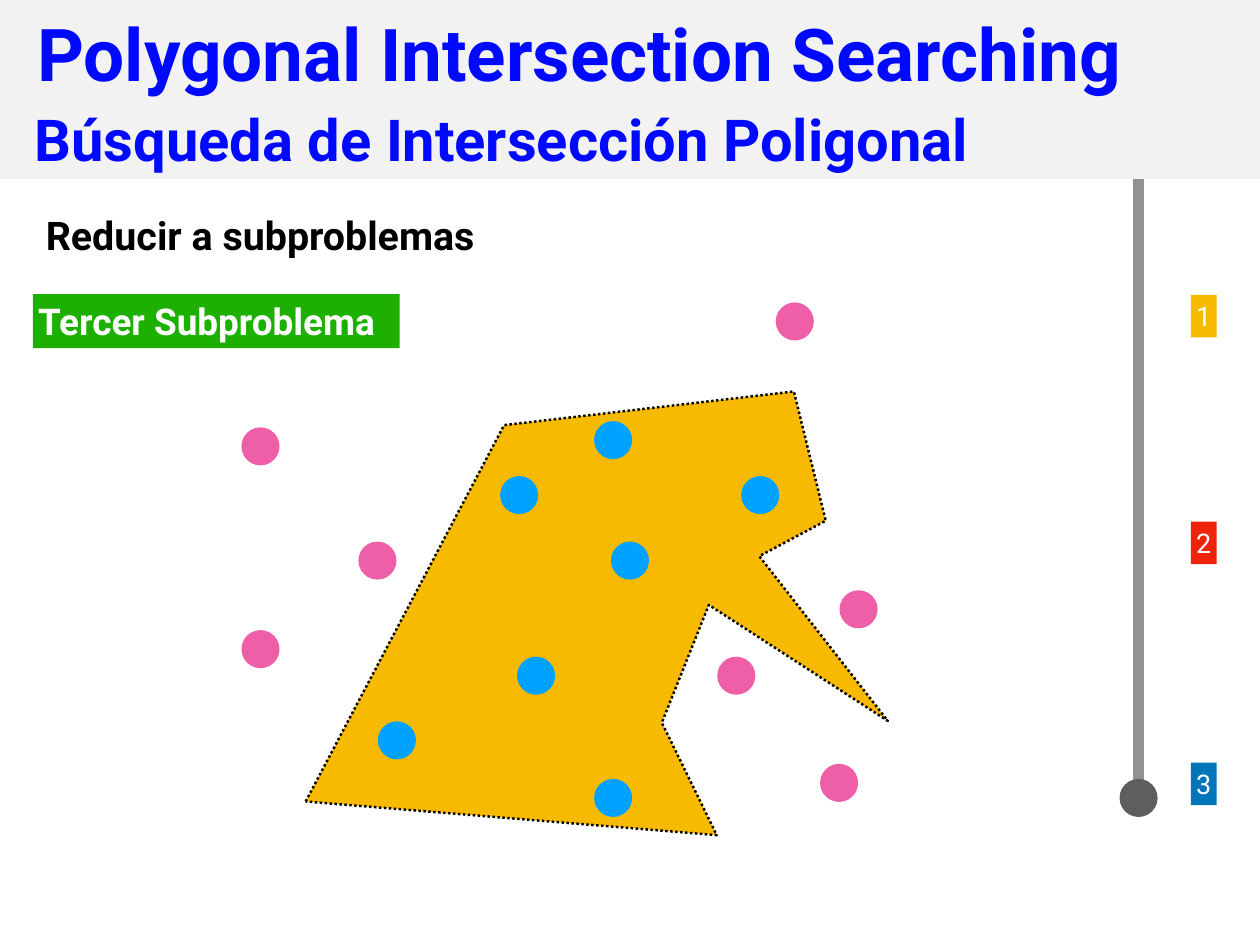
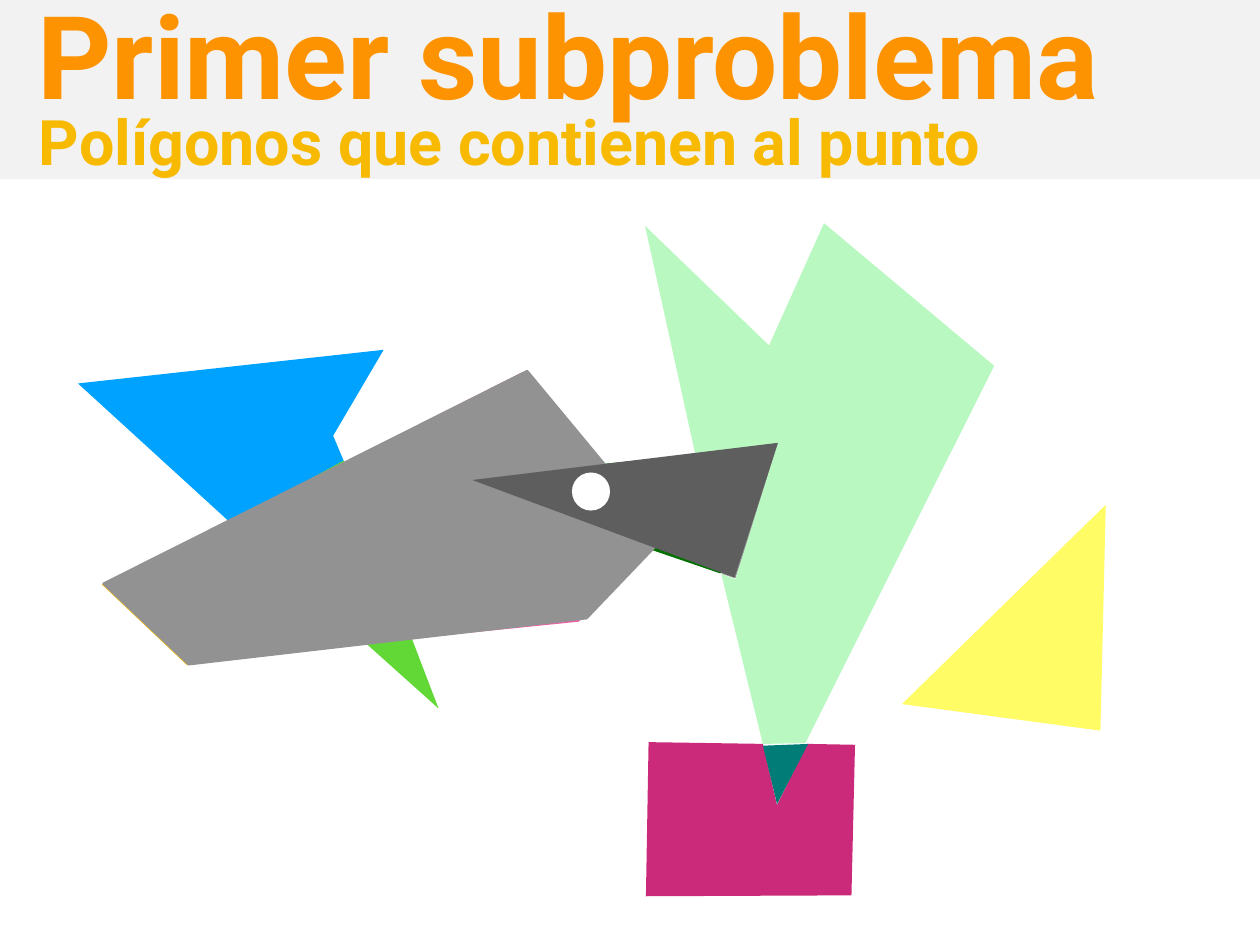
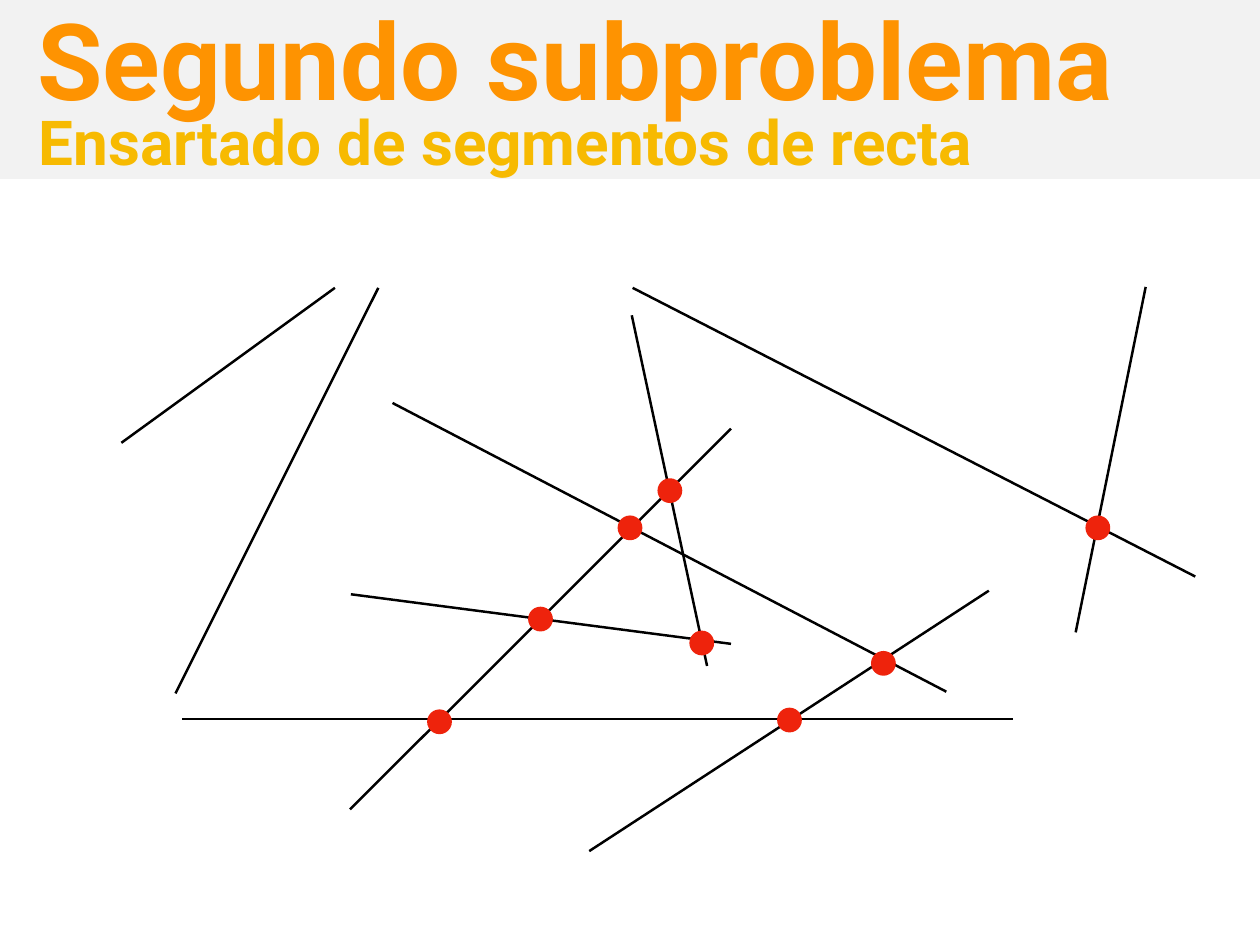
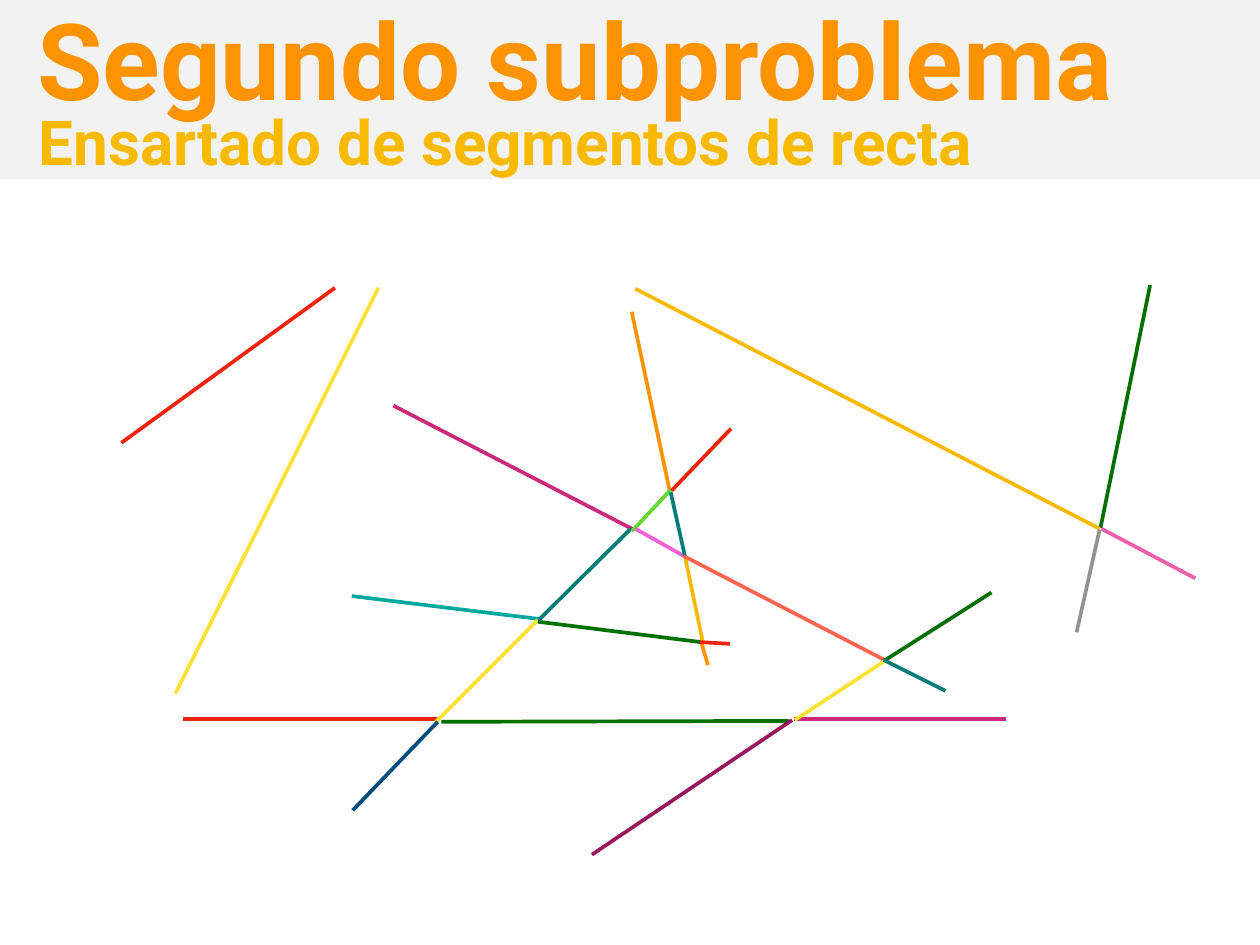
import collections

import pptx
import pptx.dml.color
import pptx.enum.dml
import pptx.enum.shapes
import pptx.enum.text
import pptx.oxml
import pptx.util

FONT = "Roboto"
CM_PER_UNIT = 2.54
INSET = 0.06
WHITE, BLACK, BAND = "FFFFFF", "000000", "F2F2F2"
BLUE_TITLE, ORANGE, AMBER = "0009FF", "FE9301", "F7BA01"
RED, GREEN, TEAL, YELLOW = "EE230C", "027001", "017C76", "FAE232"
PINK, MAGENTA, SKY, LIME = "EF5FA7", "CB2A7A", "00A2FF", "61D836"
GRAY, DARK_GRAY = "929292", "5E5E5E"

Box = collections.namedtuple("Box", "left top width height")
Heading = collections.namedtuple("Heading", "text size color left top")

PAGE = Box(0, 0, 14.22, 10.67)
HEADER = Box(0, 0, PAGE.width, 2.02)
BODY = Box(0, 2, PAGE.width, 8.67)

QUERY_POLYGON = [
    (3.45, 7.05), (5.69, 2.8), (8.96, 2.42), (9.32, 3.88), (8.57, 4.28),
    (10.02, 6.14), (8, 4.83), (7.47, 6.16), (8.09, 7.43),
]
INSIDE_DOTS = [
    (5.86, 3.59), (6.05, 5.63), (8.58, 3.59), (6.92, 7.01), (4.48, 6.36),
    (7.11, 4.33), (6.92, 2.97),
]
OUTSIDE_DOTS = [
    (4.26, 4.33), (8.31, 5.63), (9.69, 4.88), (2.94, 5.33), (9.47, 6.84),
    (8.97, 1.63), (2.94, 3.04),
]
STEP_LABELS = [("1", AMBER, 1.33), ("2", RED, 3.89), ("3", "0076BA", 6.61)]

REGIONS = [
    (PINK, None, [(3.88, 3.22), (5.9, 2.2), (6.86, 3.28), (5.42, 3.43),
                  (7.4, 4.18), (6.53, 5.02), (4.65, 5.21)]),
    (SKY, None, [(0.88, 2.33), (2.62, 3.92), (3.89, 3.23), (3.76, 2.92),
                 (4.33, 1.95)]),
    (AMBER, None, [(2.61, 3.9), (1.15, 4.6), (2.11, 5.51), (4.18, 5.27)]),
    (LIME, None, [(2.61, 3.9), (4.95, 6), (3.88, 3.2)]),
    (BLACK, None, [(6.84, 3.25), (7.51, 4.02), (7.37, 4.18), (5.42, 3.43)]),
    (GREEN, GREEN, [(6.83, 3.25), (7.85, 3.15), (8.13, 4.46), (7.37, 4.2),
                    (7.52, 4.01)]),
    (MAGENTA, None, [(8.61, 6.4), (7.32, 6.38), (7.29, 8.12), (9.61, 8.11),
                     (9.65, 6.41), (9.11, 6.4), (8.77, 7.09)]),
    (GRAY, None, [(7.86, 3.14), (8.79, 3.04), (8.3, 4.53), (8.15, 4.48)]),
    ("FFFC66", None, [(10.18, 5.95), (12.48, 3.7), (12.42, 6.25)]),
    (TEAL, None, [(8.61, 6.42), (8.77, 7.08), (9.12, 6.4)]),
    ("B9F8C1", None, [(7.85, 3.14), (7.28, 0.55), (8.68, 1.9), (9.3, 0.52),
                      (11.22, 2.13), (9.09, 6.39), (8.61, 6.4), (8.14, 4.48),
                      (8.3, 4.54), (8.77, 3.03)]),
    (GRAY, GRAY, [(1.17, 4.59), (2.13, 5.5), (6.62, 4.98), (7.5, 4.06),
                  (5.95, 2.19)]),
    (DARK_GRAY, None, [(5.33, 3.42), (8.29, 4.52), (8.78, 3)]),
]

WHOLE_SEGMENTS = [
    (BLACK, *ends) for ends in [
        (3.95, 7.14, 8.25, 2.84), (7.98, 5.52, 7.13, 1.56),
        (12.14, 5.14, 12.93, 1.24), (11.16, 4.67, 6.65, 7.61),
        (11.43, 6.12, 2.05, 6.12), (4.43, 2.55, 10.68, 5.81),
        (3.96, 4.71, 8.25, 5.27), (7.14, 1.25, 13.49, 4.51),
        (1.37, 3, 3.78, 1.25), (1.98, 5.83, 4.27, 1.25),
    ]
]
CROSSINGS = [
    (7.11, 3.96), (7.56, 3.54), (7.92, 5.26), (6.1, 4.99),
    (8.91, 6.13), (9.97, 5.49), (12.39, 3.96), (4.96, 6.15),
]
SPLIT_SEGMENTS = [
    (RED, 1.37, 3, 3.78, 1.25), (YELLOW, 1.98, 5.83, 4.27, 1.25),
    (RED, 2.06, 6.12, 4.94, 6.12), (GREEN, 4.98, 6.15, 8.9, 6.14),
    (MAGENTA, 8.96, 6.12, 11.35, 6.12), ("00A89D", 3.97, 4.73, 6.09, 4.99),
    (YELLOW, 4.92, 6.15, 6.07, 5), (GREEN, 6.07, 5.02, 7.91, 5.25),
    (MAGENTA, 4.44, 2.58, 7.15, 3.98), (ORANGE, 7.13, 1.52, 7.56, 3.55),
    (GREEN, 12.42, 3.96, 12.98, 1.22), ("004D80", 3.98, 7.15, 4.94, 6.15),
    (AMBER, 7.17, 1.26, 12.41, 3.97), (GRAY, 12.15, 5.14, 12.41, 3.98),
    (PINK, 13.49, 4.53, 12.43, 3.97), (TEAL, 6.08, 5, 7.12, 3.97),
    (ORANGE, 7.99, 5.51, 7.92, 5.27), (LIME, 7.13, 4, 7.57, 3.53),
    (RED, 7.58, 3.54, 8.25, 2.84), ("F65FD5", 7.17, 3.97, 7.74, 4.29),
    (TEAL, 7.57, 3.56, 7.73, 4.28), (AMBER, 7.93, 5.24, 7.73, 4.28),
    ("FF644E", 7.72, 4.28, 9.98, 5.45), ("99195E", 6.68, 7.65, 8.94, 6.13),
    (YELLOW, 8.97, 6.13, 9.99, 5.46), (GREEN, 9.98, 5.46, 11.19, 4.69),
    (TEAL, 9.97, 5.45, 10.67, 5.8), (RED, 7.9, 5.25, 8.24, 5.27),
]


def length(units):
    """Turn drawing units into a length."""
    return pptx.util.Cm(units * CM_PER_UNIT)


def rgb(code):
    """Turn a hex string into a colour."""
    return pptx.dml.color.RGBColor.from_string(code)


def within(box, left, top, width, height):
    """Return the lengths of a part placed relative to a box."""
    return [length(value) for value in (box.left + left, box.top + top, width, height)]


def write(shape, text, size, color, bold=True, align="LEFT", anchor="MIDDLE", wrap=False):
    """Fill a shape with one formatted line of text."""
    frame = shape.text_frame
    frame.text = text
    frame.word_wrap = wrap
    frame.auto_size = pptx.enum.text.MSO_AUTO_SIZE.NONE
    frame.vertical_anchor = pptx.enum.text.MSO_ANCHOR[anchor]
    frame.margin_left = frame.margin_right = length(INSET)
    frame.margin_top = frame.margin_bottom = length(INSET)
    para = frame.paragraphs[0]
    para.alignment = pptx.enum.text.PP_ALIGN[align]
    font = para.runs[0].font
    font.name, font.size, font.bold = FONT, pptx.util.Pt(size), bold
    font.color.rgb = rgb(color)


def paint(shape, fill, line=None):
    """Give a shape a flat fill and an optional outline."""
    shape.shadow.inherit = False
    shape.fill.solid()
    shape.fill.fore_color.rgb = rgb(fill)
    if line:
        shape.line.color.rgb = rgb(line)
        shape.line.width = pptx.util.Pt(2)
    else:
        shape.line.fill.background()
    return shape


def add_block(page, box, place, fill):
    """Add a filled rectangle."""
    kind = pptx.enum.shapes.MSO_SHAPE.RECTANGLE
    return paint(page.shapes.add_shape(kind, *within(box, *place)), fill)


def add_dots(page, box, centers, size, fill):
    """Add one round dot around each centre."""
    kind = pptx.enum.shapes.MSO_SHAPE.OVAL
    for x, y in centers:
        place = within(box, x - size / 2, y - size / 2, size, size)
        paint(page.shapes.add_shape(kind, *place), fill)


def add_polygon(page, box, points, fill, line=None):
    """Add a closed polygon through the points."""
    corners = [(length(box.left + x), length(box.top + y)) for x, y in points]
    builder = page.shapes.build_freeform(*corners[0], scale=1.0)
    builder.add_line_segments(corners[1:], close=True)
    return paint(builder.convert_to_shape(), fill, line)


def add_segments(page, box, segments, weight):
    """Add a straight line for each colour and pair of ends."""
    for color, x1, y1, x2, y2 in segments:
        ends = within(box, x1, y1, box.left + x2, box.top + y2)
        line = page.shapes.add_connector(pptx.enum.shapes.MSO_CONNECTOR.STRAIGHT, *ends)
        line.line.color.rgb = rgb(color)
        line.line.width = pptx.util.Pt(weight)
        properties = line.element.spPr
        properties.append(pptx.oxml.parse_xml(
            '<a:effectLst xmlns:a="http://schemas.openxmlformats.org/drawingml/2006/main"/>'))


def add_page(deck, box, title, subtitle):
    """Add a slide with its title and subtitle in the header box."""
    page = deck.slides.add_slide(deck.slide_layouts[5])
    heading = page.shapes.title
    heading.left, heading.top, heading.width, heading.height = within(
        box, title.left, title.top, 13.14, 1.86)
    under = page.shapes.add_textbox(*within(box, subtitle.left, subtitle.top, 11.44, 1.35))
    for shape, item in ((heading, title), (under, subtitle)):
        write(shape, item.text, item.size, item.color, anchor="BOTTOM", wrap=True)
    return page


def add_subproblem_page(deck, title, title_size, subtitle, subtitle_size):
    """Add a slide with the orange heading of a subproblem."""
    return add_page(deck, HEADER, Heading(title, title_size, ORANGE, 0.36, -0.42),
                    Heading(subtitle, subtitle_size, AMBER, 0.38, 0.72))


def put_band_on_layout(deck, page, box):
    """Move the header band to the layout that all slides share."""
    band = add_block(page, box, (0, 0, box.width, box.height), BAND)
    deck.slide_layouts[5].shapes.element.insert(2, band.element)


def draw_reduction(page, box):
    """Draw the query polygon, its points and the step track."""
    polygon = add_polygon(page, box, QUERY_POLYGON, AMBER, BLACK)
    polygon.line.dash_style = pptx.enum.dml.MSO_LINE.ROUND_DOT
    add_segments(page, box, [(GRAY, 12.85, 0.02, 12.85, 7.12)], 9)
    lead = page.shapes.add_textbox(*within(box, 0.29, 0.33, 5.3, 0.64))
    write(lead, "Reducir a subproblemas", 32, BLACK, align="CENTER")
    tag = add_block(page, box, (0.37, 1.32, 4.14, 0.61), "1EB001")
    write(tag, "Tercer Subproblema", 30, WHITE)
    for number, color, top in STEP_LABELS:
        label = add_block(page, box, (13.44, top, 0.29, 0.48), color)
        write(label, number, 22, WHITE, bold=False, align="CENTER")
    groups = [([(12.85, 7.01)], DARK_GRAY), (INSIDE_DOTS, SKY), (OUTSIDE_DOTS, PINK)]
    for centers, color in groups:
        add_dots(page, box, centers, 0.43, color)


def draw_regions(page, box):
    """Draw the overlapping polygons and the query point."""
    for fill, line, points in REGIONS:
        add_polygon(page, box, points, fill, line)
    add_dots(page, box, [(6.67, 3.55)], 0.43, WHITE)


def main():
    """Build and save the deck."""
    deck = pptx.Presentation()
    deck.slide_width, deck.slide_height = length(PAGE.width), length(PAGE.height)

    page = add_page(
        deck, HEADER,
        Heading("Polygonal Intersection Searching", 59.2, BLUE_TITLE, 0.36, -0.72),
        Heading("Búsqueda de Intersección Poligonal", 47, BLUE_TITLE, 0.33, 0.66))
    put_band_on_layout(deck, page, HEADER)
    draw_reduction(page, BODY)

    page = add_subproblem_page(
        deck, "Primer subproblema", 94, "Polígonos que contienen al punto", 51)
    draw_regions(page, BODY)

    for segments, weight, crossings in (
            (WHOLE_SEGMENTS, 2, CROSSINGS), (SPLIT_SEGMENTS, 3, [])):
        page = add_subproblem_page(
            deck, "Segundo subproblema", 86.5, "Ensartado de segmentos de recta", 50.4)
        add_segments(page, BODY, segments, weight)
        add_dots(page, BODY, crossings, 0.28, RED)

    deck.save("out.pptx")


if __name__ == "__main__":
    main()
